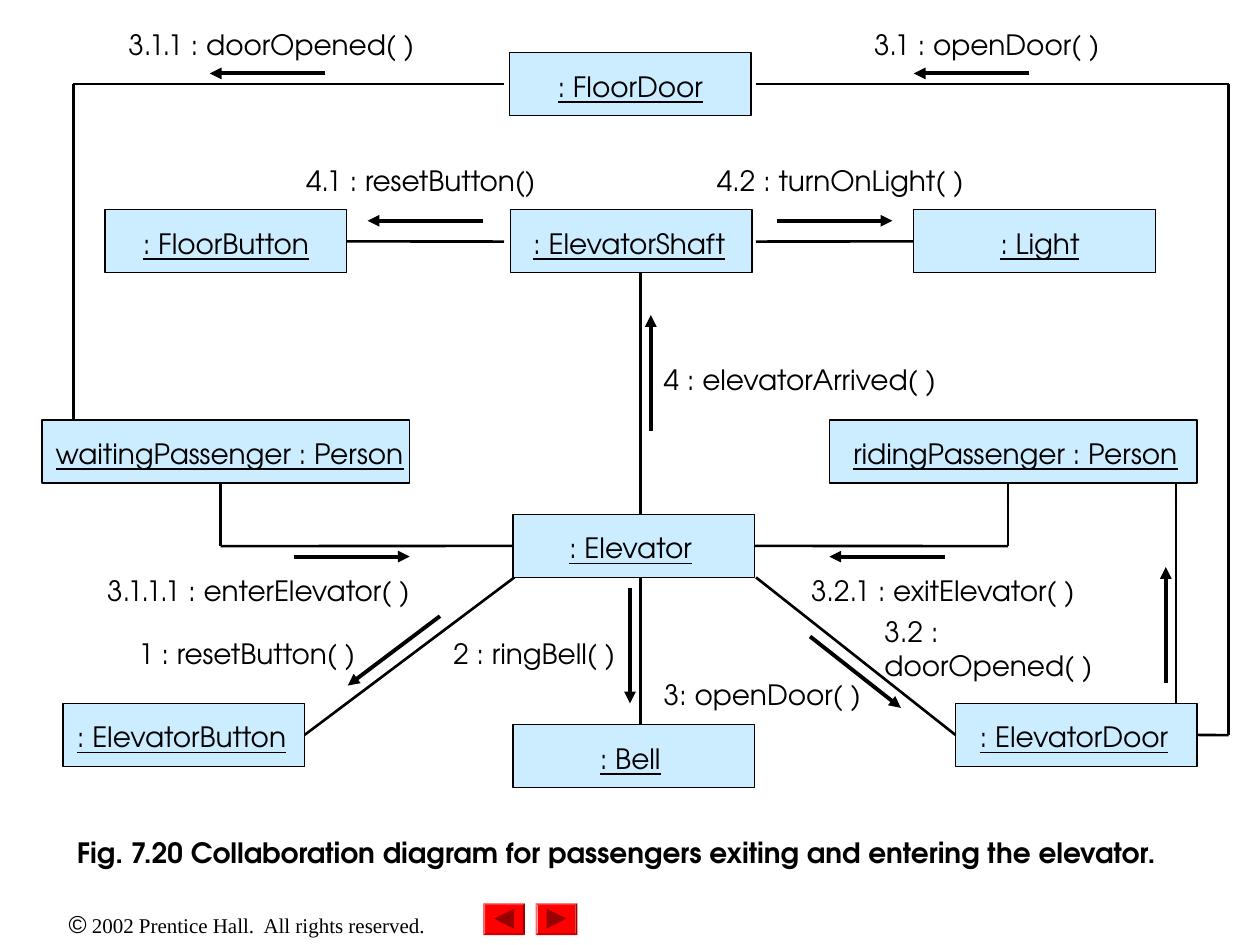
from lxml import etree
from pptx import Presentation
from pptx.dml.color import RGBColor
from pptx.enum.shapes import MSO_CONNECTOR as Link, MSO_SHAPE as Preset
from pptx.enum.text import MSO_AUTO_SIZE as AutoSize, PP_ALIGN as Align
from pptx.oxml.ns import qn
from pptx.util import Cm, Pt

BLACK, PALE_BLUE, RED, DARK_RED = "000000", "CCECFF", "FF0000", "990000"
MAIN_FONT = "TeX Gyre Adventor"
TOP, LEFT, BOTTOM, RIGHT = range(4)


def color(value):
    return RGBColor.from_string(value)


def add_text(left, top, width, spans, align=Align.LEFT, height=0.94):
    box = page.shapes.add_textbox(Cm(left), Cm(top), Cm(width), Cm(height))
    box.text_frame.word_wrap = False
    box.text_frame.auto_size = AutoSize.SHAPE_TO_FIT_TEXT
    para = box.text_frame.paragraphs[0]
    para.alignment = align
    for text, formats in spans:
        span = para.add_run()
        span.text = text
        span.font.color.rgb = color(BLACK)
        for key, value in ({"name": MAIN_FONT, "size": Pt(16)} | formats).items():
            setattr(span.font, key, value)


deck = Presentation()
deck.slide_width, deck.slide_height = Cm(25.4), Cm(19.05)
page = deck.slides.add_slide(deck.slide_layouts[6])

# Footer
add_text(0, 18.21, 9.96, [
    ("©", {"name": "Arial", "size": Pt(14)}),
    (" 2002 Prentice Hall.  All rights reserved.",
     {"name": "Times New Roman", "size": Pt(12)}),
], Align.CENTER, 0.86)

# Previous and next buttons
for left, rotation in [(9.74, -90), (10.8, 90)]:
    button = page.shapes.add_shape(
        Preset.BEVEL, Cm(left), Cm(18.21), Cm(0.84), Cm(0.64))
    button.adjustments[0] = 0.06
    arrow = page.shapes.add_shape(
        Preset.ISOSCELES_TRIANGLE, Cm(left + 0.22), Cm(18.32), Cm(0.4), Cm(0.4))
    arrow.rotation = rotation
    for part, fill in [(button, RED), (arrow, DARK_RED)]:
        part.shadow.inherit = False
        part.fill.solid()
        part.fill.fore_color.rgb = color(fill)
        part.line.fill.background()

# Objects: name, box left, top and width, label left and width
objects = [
    ("waitingPassenger : Person", 0.85, 8.47, 7.41, 0.86, 7.54),
    (": ElevatorDoor", 19.26, 14.18, 4.87, 19.48, 4.34),
    (": Bell", 10.34, 14.61, 4.87, 11.84, 1.73),
    (": Light", 18.42, 4.23, 4.87, 19.91, 2.11),
    (": FloorDoor", 10.27, 1.06, 4.87, 10.06, 5.29),
    (": FloorButton", 2.12, 4.23, 4.87, 1.91, 5.29),
    (": Elevator", 10.34, 10.37, 4.87, 11.2, 3.02),
    (": ElevatorShaft", 10.29, 4.23, 4.87, 10.49, 4.39),
    ("ridingPassenger : Person", 16.72, 8.47, 7.41, 16.94, 7.06),
    (": ElevatorButton", 1.27, 14.18, 4.87, 1.27, 4.78),
]
boxes = {}
for name, left, top, width, label_left, label_width in objects:
    box = page.shapes.add_shape(
        Preset.RECTANGLE, Cm(left), Cm(top), Cm(width), Cm(1.27))
    box.shadow.inherit = False
    box.fill.solid()
    box.fill.fore_color.rgb = color(PALE_BLUE)
    box.line.color.rgb = color(BLACK)
    box.line.width = Pt(0.75)
    boxes[name] = box
for name, left, top, width, label_left, label_width in objects:
    add_text(label_left, top + 0.21, label_width,
             [(name, {"underline": True})], Align.CENTER)

# Messages
for text, left, top, width in [
    ("4.1 : resetButton()", 5.92, 3.18, 5.29),
    ("3: openDoor( )", 13.13, 13.54, 4.5),
    ("3.1.1 : doorOpened( )", 2.34, 0.43, 6.43),
    ("4.2 : turnOnLight( )", 14.2, 3.18, 5.49),
    ("4 : elevatorArrived( )", 13.13, 7.19, 6.05),
    ("3.2.1 : exitElevator( )", 16.1, 11.43, 5.94),
    ("3.2 : doorOpened( )", 17.58, 12.27, 5.94),
    ("3.1 : openDoor( )", 17.37, 0.43, 5.11),
    ("2 : ringBell( )", 8.89, 12.7, 3.78),
    ("3.1.1.1 : enterElevator( )", 1.91, 11.43, 6.91),
    ("1 : resetButton( )", 2.54, 12.7, 4.93),
]:
    add_text(left, top, width, [(text, {})])

# Caption
add_text(1.3, 16.71, 22.4, [
    ("Fig. 7.20 Collaboration diagram for passengers exiting and entering "
     "the elevator.", {"bold": True})])

# Links between objects: end points, then the joined start and end
links = [
    ((1.48, 1.69, 10.16, 1.69), None, None),
    ((1.48, 1.69, 1.48, 8.47), None, None),
    ((6.99, 4.87, 10.16, 4.87), (": FloorButton", RIGHT), None),
    ((15.24, 4.87, 18.42, 4.87), None, (": Light", LEFT)),
    ((12.91, 5.5, 12.91, 10.37), None, None),
    ((12.91, 11.64, 12.91, 14.61), None, None),
    ((10.37, 11.64, 6.14, 14.82), None, (": ElevatorButton", RIGHT)),
    ((15.24, 11.64, 19.26, 14.82), None, (": ElevatorDoor", LEFT)),
    ((4.45, 9.74, 4.45, 11.01), None, None),
    ((4.45, 11.01, 10.34, 11.01), None, (": Elevator", LEFT)),
    ((15.21, 11.01, 20.32, 11.01), (": Elevator", RIGHT), None),
    ((20.32, 9.74, 20.32, 11.01), None, None),
    ((15.24, 1.69, 24.77, 1.69), None, None),
    ((24.77, 14.82, 24.77, 1.69), None, None),
    ((24.13, 14.82, 24.77, 14.82), (": ElevatorDoor", RIGHT), None),
    ((23.71, 9.74, 23.71, 14.18), None, None),
]
# Arrows that show the direction of each message
arrows = [
    (20.75, 1.48, 18.42, 1.48),
    (6.56, 1.48, 4.23, 1.48),
    (9.74, 4.45, 7.41, 4.45),
    (15.66, 4.45, 17.99, 4.45),
    (8.87, 12.42, 7.01, 13.82),
    (16.33, 12.83, 18.16, 14.27),
    (12.7, 11.85, 12.7, 14.18),
    (5.93, 11.22, 8.26, 11.22),
    (13.12, 8.68, 13.12, 6.35),
    (19.05, 11.22, 16.72, 11.22),
    (23.5, 13.76, 23.5, 11.43),
]
for points, start, end in links + [(points, None, None) for points in arrows]:
    line = page.shapes.add_connector(Link.STRAIGHT, *map(Cm, points))
    is_arrow = points in arrows
    line.line.color.rgb = color(BLACK)
    line.line.width = Pt(2.25 if is_arrow else 1.5)
    if start:
        line.begin_connect(boxes[start[0]], start[1])
    if end:
        line.end_connect(boxes[end[0]], end[1])
    properties = line._element.spPr
    if is_arrow:
        etree.SubElement(properties.find(qn("a:ln")), qn("a:tailEnd"), type="triangle")
    etree.SubElement(properties, qn("a:effectLst"))

deck.save("out.pptx")
